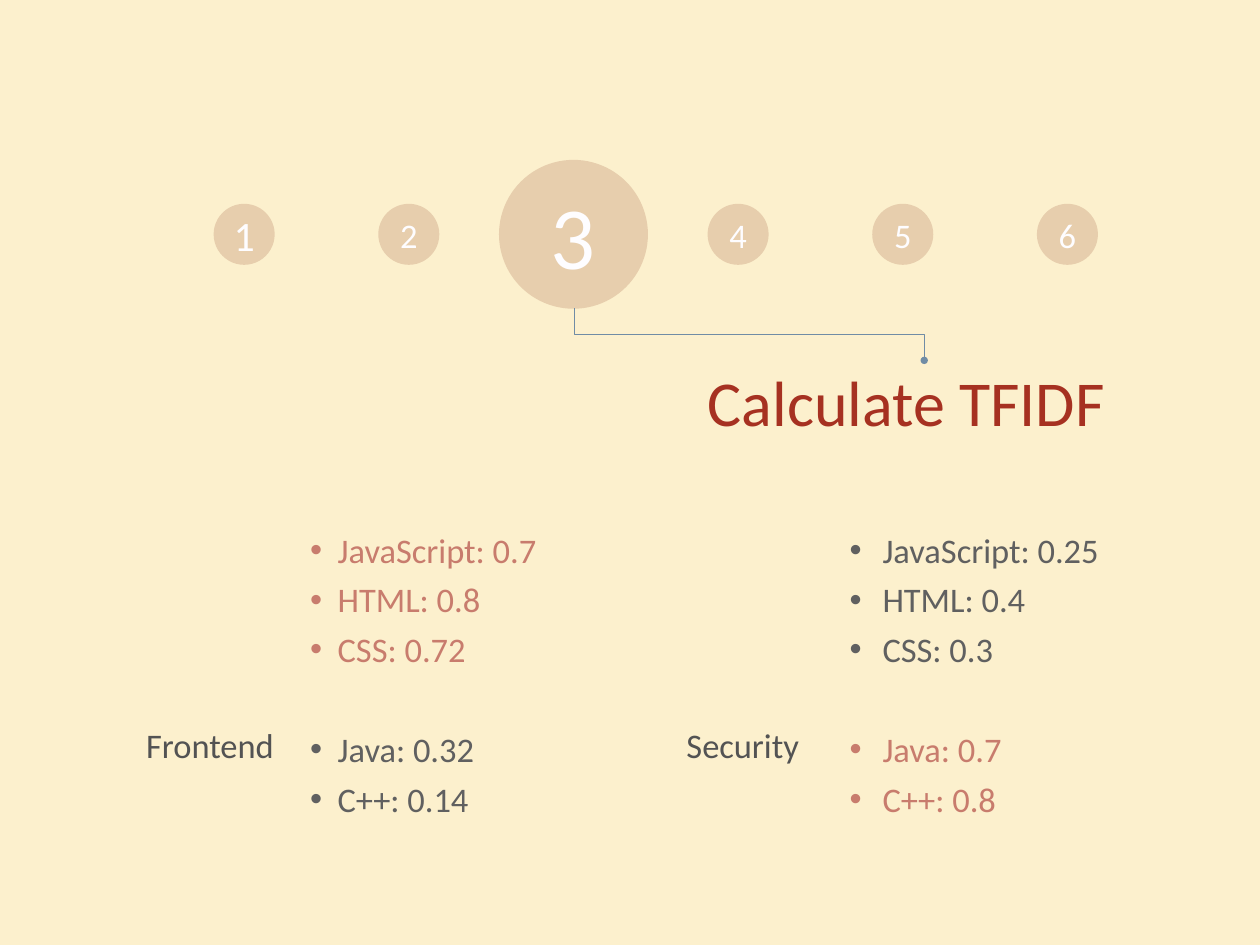
"""Build the step three slide, with TFIDF scores for two fields."""
from dataclasses import dataclass

from lxml import etree
from pptx import Presentation
from pptx.dml.color import RGBColor
from pptx.enum.shapes import MSO_CONNECTOR, MSO_SHAPE
from pptx.enum.text import MSO_ANCHOR, PP_ALIGN
from pptx.oxml.ns import qn
from pptx.util import Cm, Pt

OVAL = MSO_SHAPE.OVAL
ELBOW = MSO_CONNECTOR.ELBOW
MIDDLE = MSO_ANCHOR.MIDDLE
CENTER = PP_ALIGN.CENTER
LEFT = PP_ALIGN.LEFT


@dataclass
class Theme:
    font: str = "Calibri"
    back: str = "FCF0CD"
    disc: str = "E7CEAD"
    white: str = "FEFDFF"
    title: str = "A63121"
    line: str = "708CA5"
    label: str = "535353"
    high: str = "C87C6D"
    low: str = "606060"
    body: int = 28
    first: int = 34
    head: int = 52
    large: int = 72


theme = Theme()


def style(para, text, size, color, align=LEFT):
    para.text = text
    para.alignment = align
    para.font.name = theme.font
    para.font.size = Pt(size)
    para.font.color.rgb = RGBColor.from_string(color)


def frame(shape):
    text = shape.text_frame
    text.word_wrap = True
    text.vertical_anchor = MIDDLE
    text.margin_left = text.margin_right = Cm(0.1)
    text.margin_top = text.margin_bottom = Cm(0.1)
    return text


deck = Presentation()
deck.slide_width, deck.slide_height = Cm(36.12), Cm(27.1)
slide = deck.slides.add_slide(deck.slide_layouts[6])
slide.background.fill.solid()
slide.background.fill.fore_color.rgb = RGBColor.from_string(theme.back)
shapes = slide.shapes

sizes = {1: theme.first, 3: theme.large}
for step in range(1, 7):
    wide = 4.27 if step == 3 else 1.75
    left = 7 + 4.72 * (step - 1) - wide / 2
    disc = shapes.add_shape(OVAL, Cm(left), Cm(6.72 - wide / 2), Cm(wide), Cm(wide))
    disc.shadow.inherit = False
    disc.fill.solid()
    disc.fill.fore_color.rgb = RGBColor.from_string(theme.disc)
    disc.line.fill.background()
    size = sizes.get(step, theme.body)
    style(frame(disc).paragraphs[0], str(step), size, theme.white, CENTER)

link = shapes.add_connector(ELBOW, Cm(22.23), Cm(4.57), Cm(20.73), Cm(14.6))
link.line.color.rgb = RGBColor.from_string(theme.line)
link.line.width = Pt(1)
props = link._element.spPr
props.find(qn("a:xfrm")).set("rot", "16200000")
etree.SubElement(link.line._get_or_add_ln(), qn("a:tailEnd"), type="oval")
etree.SubElement(props, qn("a:effectLst"))

labels = [
    ("Calculate TFIDF", 20.19, 10.34, 12.57, 2.34, theme.head, theme.title),
    ("Frontend", 4.09, 20.68, 4.2, 1.35, theme.body, theme.label),
    ("Security", 19.58, 20.68, 4.2, 1.35, theme.body, theme.label),
]
for text, left, top, wide, high, size, color in labels:
    box = shapes.add_textbox(Cm(left), Cm(top), Cm(wide), Cm(high))
    style(frame(box).paragraphs[0], text, size, color)

terms = ["JavaScript", "HTML", "CSS", "Java", "C++"]
lists = [
    (8.79, 0.79, ["0.7", "0.8", "0.72", "0.32", "0.14"], theme.high, theme.low),
    (24.26, 0.94, ["0.25", "0.4", "0.3", "0.7", "0.8"], theme.low, theme.high),
]
for left, indent, scores, web, code in lists:
    box = shapes.add_textbox(Cm(left), Cm(15.16), Cm(8), Cm(8.1))
    text = frame(box)
    for row, (term, score) in enumerate(zip(terms, scores)):
        para = text.add_paragraph() if row else text.paragraphs[0]
        props = para._p.get_or_add_pPr()
        props.set("marL", str(Cm(indent)))
        props.set("indent", str(-Cm(indent)))
        etree.SubElement(props, qn("a:buFont"), typeface="Arial")
        etree.SubElement(props, qn("a:buChar"), char="•")
        para.line_spacing = 1.2
        if term == "Java":
            para.space_before = Pt(41)
        style(para, f"{term}: {score}", theme.body, web if row < 3 else code)

deck.save("out.pptx")
